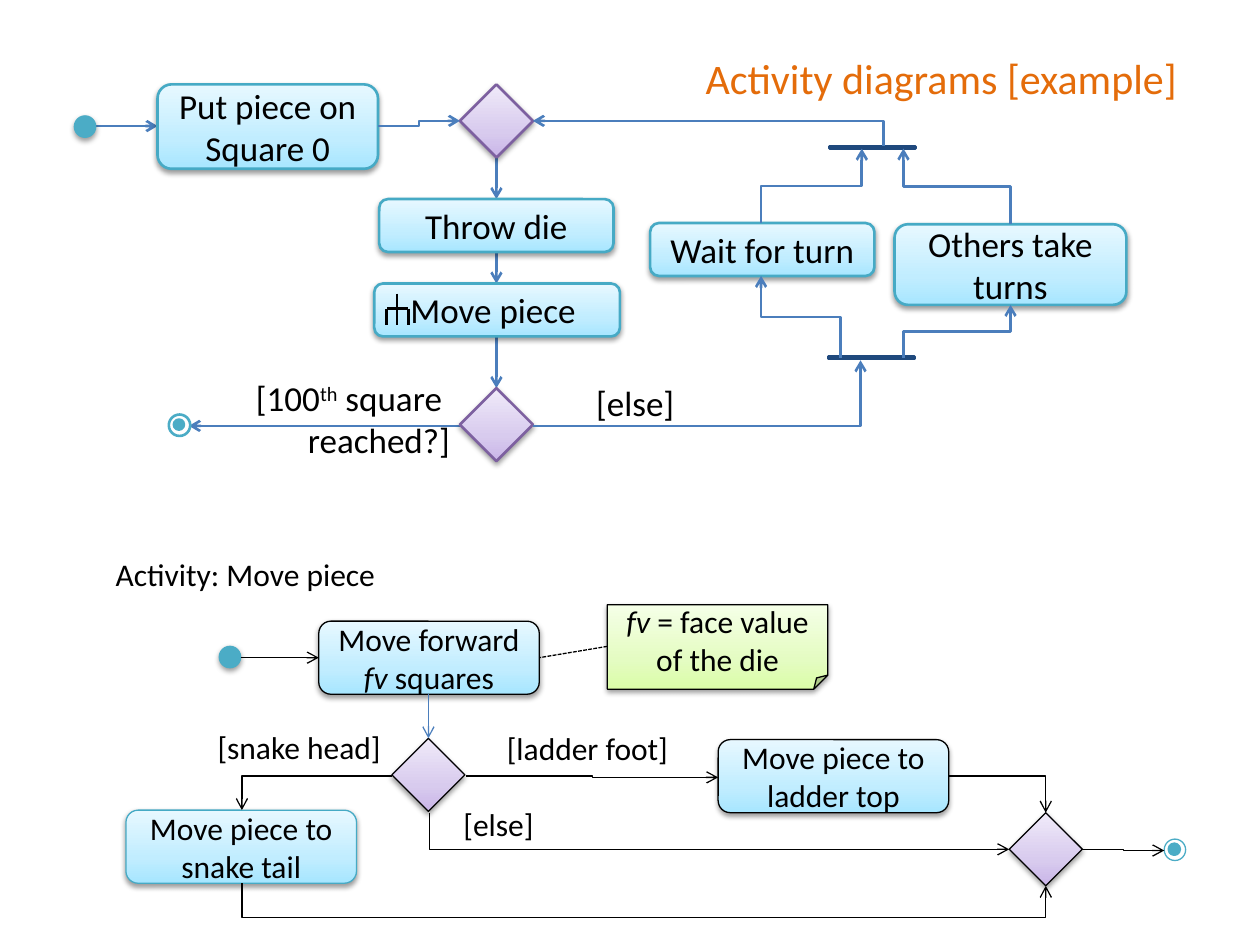
from copy import deepcopy
from dataclasses import dataclass

from lxml import etree
from pptx import Presentation
from pptx.dml.color import RGBColor
from pptx.enum.dml import MSO_LINE
from pptx.enum.shapes import MSO_CONNECTOR, MSO_SHAPE
from pptx.enum.text import MSO_ANCHOR, PP_ALIGN
from pptx.oxml.ns import qn
from pptx.util import Inches, Pt

ROUNDED, DIAMOND = MSO_SHAPE.ROUNDED_RECTANGLE, MSO_SHAPE.FLOWCHART_DECISION
OVAL, BAR, NOTE = MSO_SHAPE.OVAL, MSO_SHAPE.MATH_MINUS, MSO_SHAPE.FOLDED_CORNER
STRAIGHT, ELBOW = MSO_CONNECTOR.STRAIGHT, MSO_CONNECTOR.ELBOW
LEFT, CENTER, RIGHT = PP_ALIGN.LEFT, PP_ALIGN.CENTER, PP_ALIGN.RIGHT
MIDDLE, DASH = MSO_ANCHOR.MIDDLE, MSO_LINE.SQUARE_DOT


@dataclass(frozen=True)
class Theme:
    font: str = "Calibri"
    title_size: int = 24
    main_size: int = 20
    detail_size: int = 18
    thick: float = 1.5
    thin: float = 0.75
    title: str = "E46C0A"
    black: str = "000000"
    white: str = "FFFFFF"
    flow: str = "4B7EBC"
    action_line: str = "46AAC5"
    decision_line: str = "7D60A0"
    node: str = "4BACC6"
    bar: str = "1F497D"
    action: tuple = ("A7E6FF", "C1EDFF", "E7F8FF")
    decision: tuple = ("C9B5E8", "D8CBEE", "F0EAF9")
    note: tuple = ("DAFDA7", "E4FCC2", "F5FFE7")


def add_element(parent, tag, **attributes):
    child = etree.SubElement(parent, qn(tag))
    for name, value in attributes.items():
        child.set(name, str(value))
    return child


class ActivityDiagram:
    def __init__(self, slide, theme):
        self.slide, self.theme = slide, theme

    def add_text(self, paragraph, text, size, color, alignment):
        """Add runs; *text* is italic, ^text^ is superscript, a newline breaks the line."""
        paragraph.alignment = alignment
        for starred, part in enumerate(text.split("*")):
            for raised, piece in enumerate(part.split("^")):
                for row, words in enumerate(piece.split("\n")):
                    if row:
                        paragraph.add_line_break()
                    if not words:
                        continue
                    run = paragraph.add_run()
                    run.text = words
                    run.font.name, run.font.size = self.theme.font, Pt(size)
                    run.font.color.rgb = RGBColor.from_string(color)
                    if starred % 2:
                        run.font.italic = True
                    if raised % 2:
                        run.font._element.set("baseline", "30000")

    def title(self, text, left, top, width, height):
        title = self.slide.shapes.title
        title.left, title.top = Inches(left), Inches(top)
        title.width, title.height = Inches(width), Inches(height)
        title.text_frame.vertical_anchor = MIDDLE
        self.add_text(title.text_frame.paragraphs[0], text,
                      self.theme.title_size, self.theme.title, RIGHT)

    def label(self, text, left, top, width, height, size, alignment=RIGHT):
        box = self.slide.shapes.add_textbox(*map(Inches, (left, top, width, height)))
        box.text_frame.word_wrap = True
        self.add_text(box.text_frame.paragraphs[0], text, size, self.theme.black, alignment)

    def shape(self, kind, left, top, width, height, fill, line, weight, shadow=True):
        """Add a preset shape; a tuple of colours makes a vertical gradient."""
        shape = self.slide.shapes.add_shape(kind, *map(Inches, (left, top, width, height)))
        if isinstance(fill, tuple):
            shape.fill.gradient()
            shape.fill.gradient_angle = 90
            stop_list = shape._element.spPr.find(qn("a:gradFill")).find(qn("a:gsLst"))
            stop_list.append(deepcopy(stop_list[-1]))
            for stop, color, position in zip(shape.fill.gradient_stops, fill, (0, 0.35, 1)):
                stop.color.rgb = RGBColor.from_string(color)
                stop.position = position
        else:
            shape.fill.solid()
            shape.fill.fore_color.rgb = RGBColor.from_string(fill)
        shape.line.color.rgb = RGBColor.from_string(line)
        shape.line.width = Pt(weight)
        shape.shadow.inherit = False
        if shadow:
            effects = shape._element.spPr.find(qn("a:effectLst"))
            outer = add_element(effects, "a:outerShdw", blurRad=Pt(3.1), dist=Pt(1.6),
                                dir=5400000, rotWithShape=0)
            add_element(add_element(outer, "a:srgbClr", val=self.theme.black),
                        "a:alpha", val=38000)
        return shape

    def action(self, text, left, top, width, height, size, line, weight,
               kind=ROUNDED, fill=None):
        shape = self.shape(kind, left, top, width, height,
                           fill or self.theme.action, line, weight)
        shape.text_frame.word_wrap = True
        shape.text_frame.vertical_anchor = MIDDLE
        self.add_text(shape.text_frame.paragraphs[0], text, size, self.theme.black, CENTER)

    def decision(self, left, top, line, weight):
        self.shape(DIAMOND, left, top, 0.58, 0.58, self.theme.decision, line, weight)

    def start_node(self, left, top):
        self.shape(OVAL, left, top, 0.17, 0.17, self.theme.node, self.theme.node,
                   self.theme.thin)

    def final_node(self, left, top, weight, dot_weight):
        node = self.theme.node
        self.shape(OVAL, left, top, 0.17, 0.17, self.theme.white, node, weight, False)
        self.shape(OVAL, left + 0.04, top + 0.04, 0.08, 0.08, node, node, dot_weight, False)

    def sync_bar(self, left, top):
        for index in range(4):
            self.shape(BAR, left + index / 6, top, 0.25, 0.08, self.theme.bar,
                       self.theme.bar, self.theme.thick, False)

    def connect(self, start, end, color, weight, kind=STRAIGHT, arrow=True, dash=None):
        connector = self.slide.shapes.add_connector(kind, *map(Inches, start + end))
        connector.line.color.rgb = RGBColor.from_string(color)
        connector.line.width = Pt(weight)
        if dash:
            connector.line.dash_style = dash
        if arrow:
            add_element(connector.line._get_or_add_ln(), "a:tailEnd", type="arrow")
        add_element(connector._element.spPr, "a:effectLst")
        return connector

    def elbow(self, start, end, color, weight, vertical=False, corner=False, bend=0.5):
        """Draw a bent arrow: vertical leaves up or down, corner has a single turn."""
        (x1, y1), (x2, y2) = start, end
        across, down = x2 - x1, y2 - y1
        if vertical:
            middle_x, middle_y = (x1 + x2) / 2, (y1 + y2) / 2
            half_width, half_height = abs(down) / 2, abs(across) / 2
            start = (middle_x - half_width, middle_y - half_height)
            end = (middle_x + half_width, middle_y + half_height)
        connector = self.connect(start, end, color, weight, ELBOW)
        properties = connector._element.spPr
        if vertical:
            frame = properties.find(qn("a:xfrm"))
            frame.set("rot", str((90 if down > 0 else 270) * 60000))
            if across * down > 0:
                frame.set("flipV", "1")
        geometry = properties.find(qn("a:prstGeom"))
        if corner:
            geometry.set("prst", "bentConnector2")
        elif bend != 0.5:
            add_element(geometry.find(qn("a:avLst")), "a:gd", name="adj1",
                        fmla=f"val {round(bend * 100000)}")


def draw_game(diagram):
    theme = diagram.theme
    blue = (theme.flow, theme.thick)
    for start, end in [((0.75, 1), (1.25, 1)), ((3.94, 1.25), (3.94, 1.58)),
                       ((3.94, 2), (3.94, 2.25)), ((3.94, 2.67), (3.94, 3.08)),
                       ((3.65, 3.38), (1.5, 3.38))]:
        diagram.connect(start, end, *blue)
    for text, *box in [("Put piece on Square 0", 1.25, 0.67, 1.75, 0.67),
                       ("Throw die", 3.01, 1.58, 1.86, 0.42),
                       ("Move piece ", 2.97, 2.25, 1.95, 0.42),
                       ("Wait for turn", 5.16, 1.77, 1.78, 0.42),
                       ("Others take turns", 7.1, 1.78, 1.84, 0.64)]:
        diagram.action(text, *box, theme.main_size, theme.action_line, theme.thick)
    for top in (0.67, 3.08):
        diagram.decision(3.65, top, theme.decision_line, theme.thick)
    diagram.start_node(0.59, 0.92)
    diagram.final_node(1.34, 3.29, theme.thick, theme.thick)
    diagram.sync_bar(6.54, 2.8)
    diagram.sync_bar(6.55, 1.13)
    diagram.elbow((3, 1), (3.65, 0.96), *blue)
    diagram.elbow((4.23, 3.38), (6.83, 2.86), *blue, corner=True)
    diagram.elbow((7.01, 1.16), (4.23, 0.96), *blue, vertical=True, corner=True)
    for start, end in [((6.67, 2.84), (6.04, 2.19)), ((7.17, 2.84), (8.02, 2.42)),
                       ((6.04, 1.77), (6.84, 1.18)), ((8.02, 1.78), (7.17, 1.18))]:
        diagram.elbow(start, end, *blue, vertical=True)
    for start, end in [((3.15, 2.33), (3.15, 2.58)), ((3.07, 2.45), (3.07, 2.58)),
                       ((3.24, 2.45), (3.24, 2.58)), ((3.24, 2.45), (3.07, 2.45))]:
        diagram.connect(start, end, theme.black, theme.thick, arrow=False)
    diagram.label("[100^th^ square \n reached?]", 1.67, 2.94, 2, 0.77, theme.main_size)
    diagram.label("[else]", 4.45, 2.98, 1, 0.44, theme.main_size)


def draw_move_piece(diagram):
    theme = diagram.theme
    black, size = (theme.black, theme.thin), theme.detail_size
    diagram.label("Activity: Move piece", 0.82, 4.36, 5.33, 0.4, size, LEFT)
    for text, left, top, width, line in [
            ("Move piece to snake tail", 1, 6.43, 1.83, theme.action_line),
            ("Move forward *fv* squares", 2.53, 4.93, 1.75, theme.black),
            ("Move piece to ladder top", 5.7, 5.87, 1.83, theme.black)]:
        diagram.action(text, left, top, width, 0.58, size, line, theme.thin)
    diagram.action("*fv* = face value of the die", 4.82, 4.8, 1.75, 0.67, size, *black,
                   kind=NOTE, fill=theme.note)
    for left, top in [(3.11, 5.86), (8.01, 6.45)]:
        diagram.decision(left, top, *black)
    diagram.start_node(1.74, 5.13)
    diagram.final_node(9.24, 6.66, theme.thin, 2)
    diagram.connect((1.91, 5.22), (2.53, 5.22), *black)
    diagram.connect((3.4, 5.51), (3.4, 5.86), theme.flow, theme.thin)
    diagram.connect((4.82, 5.13), (4.28, 5.22), *black, arrow=False, dash=DASH)
    diagram.elbow((3.11, 6.16), (1.92, 6.43), *black, corner=True)
    diagram.elbow((7.53, 6.16), (8.3, 6.45), *black, corner=True)
    diagram.elbow((3.41, 6.45), (8.01, 6.74), *black, vertical=True, corner=True)
    diagram.elbow((1.92, 7.01), (8.3, 7.03), *black, vertical=True, bend=13.5)
    diagram.elbow((3.7, 6.16), (5.7, 6.17), *black)
    diagram.elbow((8.59, 6.74), (9.24, 6.75), *black)
    diagram.label("[snake head]", 1.54, 5.73, 1.58, 0.4, size)
    diagram.label("[ladder foot]", 3.82, 5.74, 1.58, 0.4, size)
    diagram.label("[else]", 3.58, 6.34, 1, 0.4, size, LEFT)


def main():
    presentation = Presentation()
    presentation.slide_width, presentation.slide_height = Inches(10), Inches(7.5)
    slide = presentation.slides.add_slide(presentation.slide_layouts[5])
    diagram = ActivityDiagram(slide, Theme())
    diagram.title("Activity diagrams [example]", 0.44, 0.3, 9, 0.63)
    draw_game(diagram)
    draw_move_piece(diagram)
    presentation.save("out.pptx")


if __name__ == "__main__":
    main()
